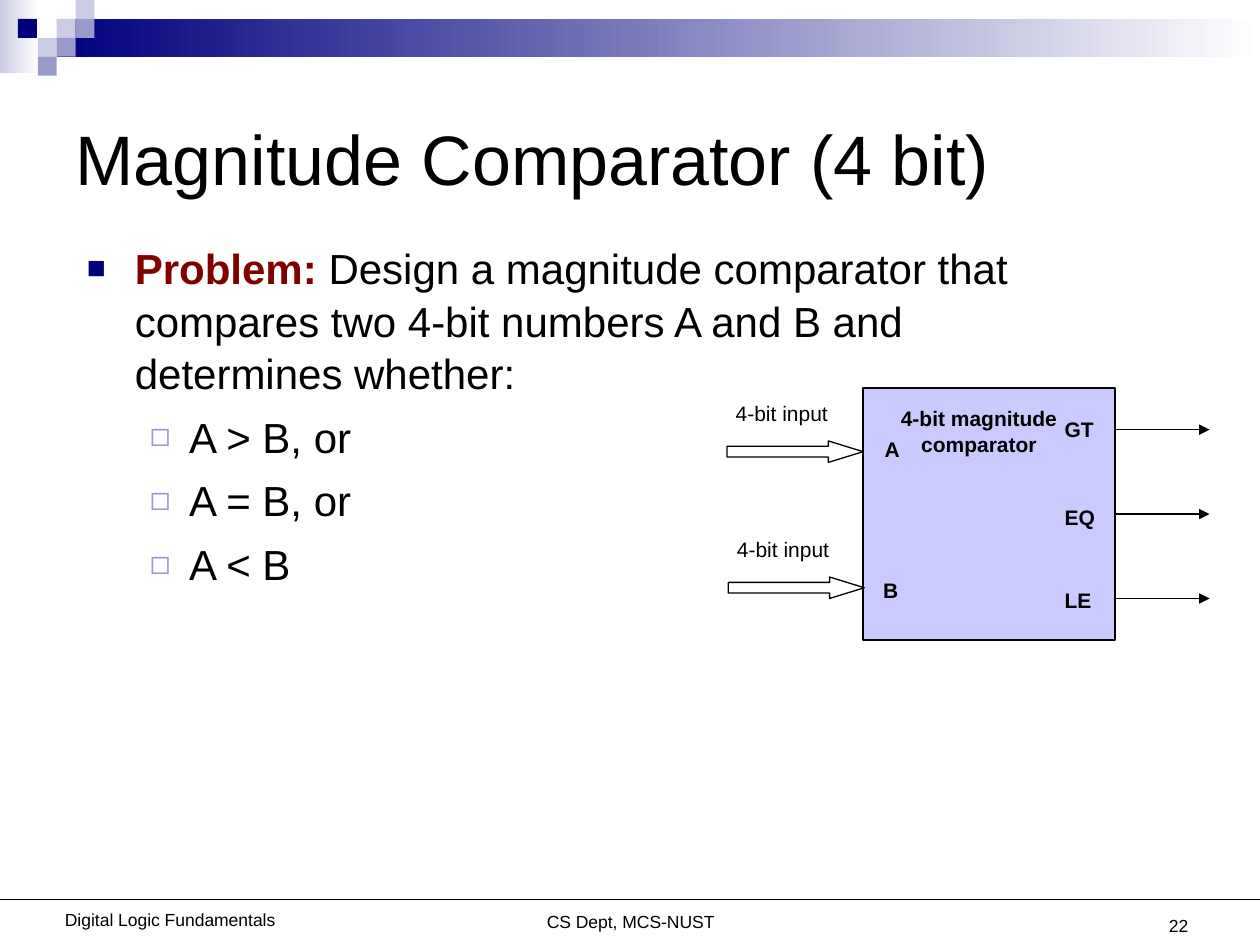
"""Build the slide that states the 4-bit magnitude comparator problem."""
from lxml import etree
from pptx import Presentation
from pptx.dml.color import RGBColor
from pptx.enum.shapes import MSO_CONNECTOR, MSO_SHAPE
from pptx.enum.text import MSO_ANCHOR, MSO_AUTO_SIZE, PP_ALIGN
from pptx.oxml.ns import qn
from pptx.util import Inches, Pt

RECT, RIGHT_ARROW = MSO_SHAPE.RECTANGLE, MSO_SHAPE.RIGHT_ARROW
STRAIGHT = MSO_CONNECTOR.STRAIGHT
LEFT, CENTER, RIGHT = PP_ALIGN.LEFT, PP_ALIGN.CENTER, PP_ALIGN.RIGHT
TOP, MIDDLE, BOTTOM = MSO_ANCHOR.TOP, MSO_ANCHOR.MIDDLE, MSO_ANCHOR.BOTTOM
FIT, FIXED = MSO_AUTO_SIZE.SHAPE_TO_FIT_TEXT, MSO_AUTO_SIZE.NONE

COLORS = {
    "navy": "00007D", "lilac": "9999CC", "pale": "CCCCE6", "white": "FFFFFF",
    "black": "000000", "maroon": "800000", "block": "CACAFF",
}
RIGHT_SIDE = 3


class SlideBuilder:
    """Hold the style and the current slide, and add each kind of element."""

    font_name = "Arial"
    line_width = Pt(0.75)
    line_spacing = 1.04

    def __init__(self, slide):
        self.slide = slide

    def color(self, name):
        return RGBColor.from_string(COLORS[name])

    def apply(self, target, values):
        for attribute, value in values.items():
            setattr(target, attribute, value)

    def place(self, shape, box):
        names = ("left", "top", "width", "height")
        self.apply(shape, dict(zip(names, map(Inches, box))))

    def styled_run(self, paragraph, text, size, color="black", bold=False):
        run = paragraph.add_run()
        run.text = text
        self.apply(run.font, {"name": self.font_name, "size": Pt(size), "bold": bold})
        run.font.color.rgb = self.color(color)

    def shape(self, kind, box, fill=None, outlined=False):
        shape = self.slide.shapes.add_shape(kind, *map(Inches, box))
        shape.shadow.inherit = False
        if fill:
            shape.fill.solid()
            shape.fill.fore_color.rgb = self.color(fill)
        else:
            shape.fill.background()
        if outlined:
            shape.line.color.rgb = self.color("black")
            shape.line.width = self.line_width
        else:
            shape.line.fill.background()
        return shape

    def fade(self, box, start):
        band = self.shape(RECT, box)
        band.fill.gradient()
        band.fill.gradient_angle = 0
        for stop, position, name in zip(band.fill.gradient_stops, (0, 1), (start, "white")):
            stop.position = position
            stop.color.rgb = self.color(name)

    def line(self, start, end, arrow=False):
        line = self.slide.shapes.add_connector(STRAIGHT, *map(Inches, start + end))
        line.line.color.rgb = self.color("black")
        line.line.width = self.line_width
        properties = line._element.spPr
        if arrow:
            etree.SubElement(properties.find(qn("a:ln")), qn("a:tailEnd"), type="triangle")
        etree.SubElement(properties, qn("a:effectLst"))
        return line

    def text(self, box, lines, size=12, bold=False, align=CENTER, anchor=TOP, wrap=False):
        frame = self.slide.shapes.add_textbox(*map(Inches, box)).text_frame
        self.apply(frame, {"word_wrap": wrap, "vertical_anchor": anchor,
                           "auto_size": FIXED if wrap else FIT})
        for index, line in enumerate(lines):
            paragraph = frame.add_paragraph() if index else frame.paragraphs[0]
            self.apply(paragraph, {"alignment": align, "line_spacing": self.line_spacing})
            self.styled_run(paragraph, line, size, bold=bold)

    def title(self, box, text):
        title = self.slide.shapes.title
        self.place(title, box)
        self.apply(title.text_frame, {"vertical_anchor": MIDDLE, "auto_size": FIXED})
        paragraph = title.text_frame.paragraphs[0]
        paragraph.alignment = LEFT
        self.styled_run(paragraph, text, 40)

    def bullet(self, paragraph, char, color, percent, margin, hanging):
        properties = paragraph._p.get_or_add_pPr()
        properties.set("marL", str(Inches(margin)))
        properties.set("indent", str(-Inches(hanging)))
        bullet_color = etree.SubElement(properties, qn("a:buClr"))
        etree.SubElement(bullet_color, qn("a:srgbClr"), val=COLORS[color])
        etree.SubElement(properties, qn("a:buSzPct"), val=str(percent * 1000))
        etree.SubElement(properties, qn("a:buFont"), typeface=self.font_name)
        etree.SubElement(properties, qn("a:buChar"), char=char)

    def body(self, box, heading, statement, cases):
        body = self.slide.placeholders[1]
        self.place(body, box)
        frame = body.text_frame
        self.apply(frame, {"vertical_anchor": TOP, "auto_size": FIXED, "word_wrap": True})
        problem = frame.paragraphs[0]
        self.bullet(problem, "■", "navy", 75, 0.38, 0.38)
        self.apply(problem, {"space_before": Pt(0), "line_spacing": self.line_spacing})
        self.styled_run(problem, heading, 24, "maroon", True)
        self.styled_run(problem, statement, 24)
        for case in cases:
            paragraph = frame.add_paragraph()
            self.bullet(paragraph, "◻", "lilac", 80, 0.81, 0.31)
            self.apply(paragraph, {"level": 1, "space_before": Pt(6.5),
                                   "line_spacing": self.line_spacing})
            self.styled_run(paragraph, case, 24)


def add_frame(builder):
    """Add the banner, the footer texts and the footer rule."""
    builder.fade((0, 0, 0.31, 0.58), "pale")
    builder.fade((0.45, 0.15, 9.55, 0.3), "navy")
    cell = 0.15
    tiles = [(3, 1, "pale"), (4, 0, "pale"), (4, 1, "lilac"), (2, 2, "pale"),
             (0.95, 1, "navy"), (3, 2, "lilac"), (2, 3, "lilac")]
    for column, row, color in tiles:
        builder.shape(RECT, (column * cell, row * cell, cell, cell), color)
    footers = [((2.92, 6.85, 4.17, 0.6), "CS Dept, MCS-NUST", CENTER),
               ((0.35, 6.83, 2, 0.6), "Digital Logic Fundamentals", CENTER),
               ((7.2, 6.98, 2.33, 0.5), "22", RIGHT)]
    for box, text, align in footers:
        builder.text(box, [text], 10, align=align, anchor=BOTTOM, wrap=True)
    builder.line((0, 7.14), (10, 7.14))


def add_comparator(builder):
    """Add the comparator block with its inputs and outputs."""
    block = builder.shape(RECT, (6.85, 3.08, 2, 2), "block", True)
    for left, top in ((5.77, 3.5), (5.78, 4.58)):
        arrow = builder.shape(RIGHT_ARROW, (left, top, 1.08, 0.17), outlined=True)
        arrow.adjustments[1] = 1.62
        builder.text((left - 0.03, top - 0.38, 0.93, 0.3), ["4-bit input"])
    outputs = [("GT", 3.41, 3.25, 0.43), ("EQ", 4.08, 3.95, 0.44), ("LE", 4.75, 4.61, 0.41)]
    for name, level, label_top, label_width in outputs:
        output = builder.line((8.85, level), (9.6, level), True)
        if name == "EQ":
            output.begin_connect(block, RIGHT_SIDE)
        builder.text((8.35, label_top, label_width, 0.3), [name], bold=True)
    builder.text((7.05, 3.16, 1.44, 0.5), ["4-bit magnitude", "comparator"], bold=True)
    for name, left, top in (("A", 6.92, 3.41), ("B", 6.91, 4.53)):
        builder.text((left, top, 0.32, 0.3), [name], bold=True)


def main():
    """Build and save the presentation."""
    deck = Presentation()
    deck.slide_width, deck.slide_height = Inches(10), Inches(7.5)
    builder = SlideBuilder(deck.slides.add_slide(deck.slide_layouts[1]))
    add_frame(builder)
    builder.title((0.5, 0.5, 9, 1.5), "Magnitude Comparator (4 bit)")
    builder.body(
        (0.59, 1.86, 8.41, 4.41), "Problem: ",
        "Design a magnitude comparator that compares two 4-bit numbers A and B "
        "and determines whether:",
        ["A > B, or", "A = B, or", "A < B"])
    add_comparator(builder)
    deck.save("out.pptx")


if __name__ == "__main__":
    main()
